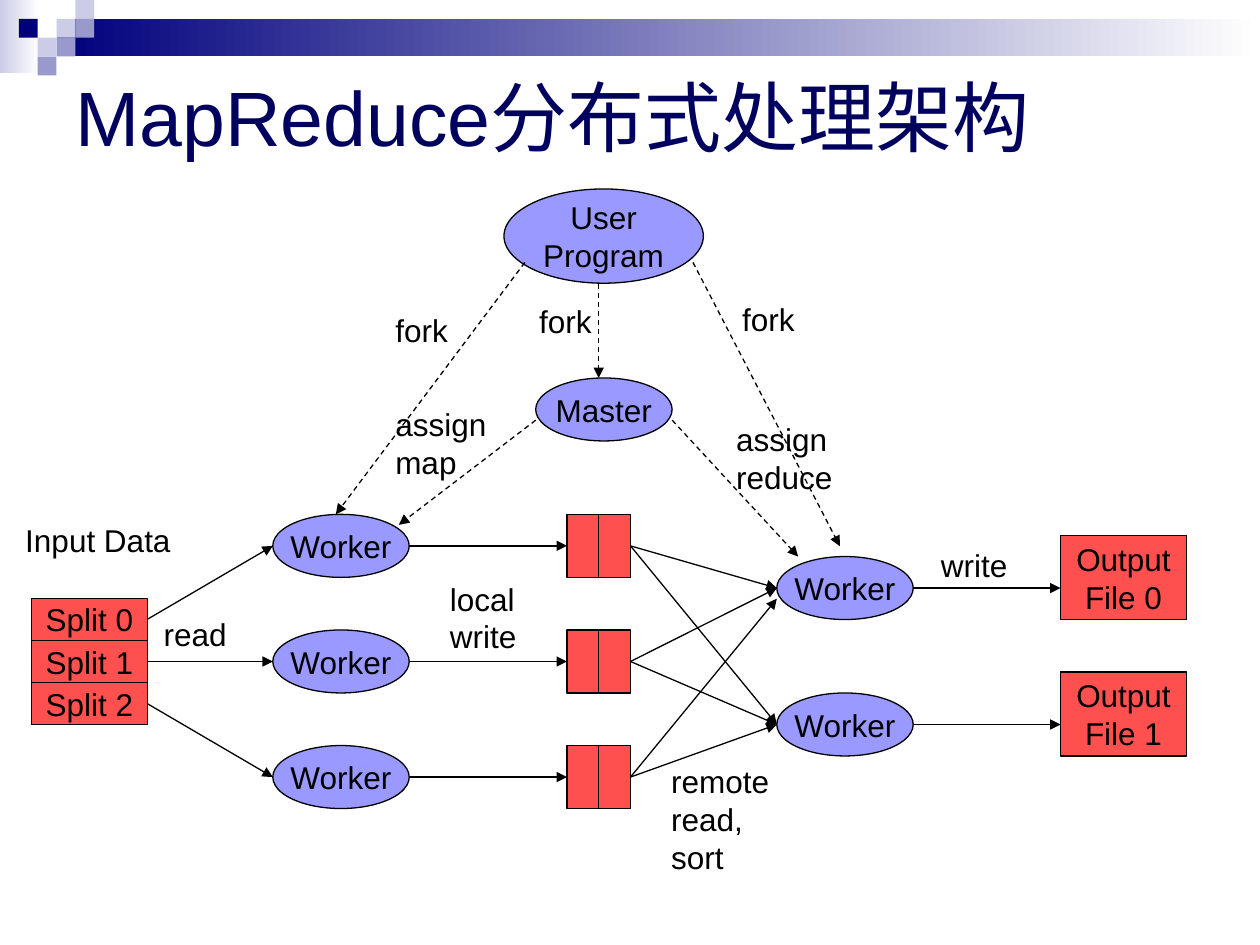
from dataclasses import dataclass
from typing import Optional

from lxml import etree
from pptx import Presentation
from pptx.dml.color import RGBColor
from pptx.enum.dml import MSO_LINE
from pptx.enum.shapes import MSO_CONNECTOR, MSO_SHAPE
from pptx.enum.text import MSO_ANCHOR, MSO_AUTO_SIZE, PP_ALIGN
from pptx.oxml.ns import qn
from pptx.shapes.autoshape import Shape
from pptx.slide import Slide
from pptx.text.text import TextFrame
from pptx.util import Cm, Pt

RECT = MSO_SHAPE.RECTANGLE
OVAL = MSO_SHAPE.OVAL
STRAIGHT = MSO_CONNECTOR.STRAIGHT
DASH = MSO_LINE.DASH
MIDDLE = MSO_ANCHOR.MIDDLE
CENTER = PP_ALIGN.CENTER
LEFT = PP_ALIGN.LEFT
FIT_SHAPE = MSO_AUTO_SIZE.SHAPE_TO_FIT_TEXT

BLACK = RGBColor(0x00, 0x00, 0x00)
WHITE = RGBColor(0xFF, 0xFF, 0xFF)
NAVY = RGBColor(0x00, 0x00, 0x7D)
TITLE_NAVY = RGBColor(0x00, 0x00, 0x5E)
PALE = RGBColor(0xCC, 0xCC, 0xE6)
LAVENDER = RGBColor(0x99, 0x99, 0xCC)
VIOLET = RGBColor(0x99, 0x99, 0xFF)
RED = RGBColor(0xFF, 0x50, 0x50)

FONT = "Arial"
TILE = 0.38
LEFT_SITE, RIGHT_SITE = 1, 3


@dataclass
class Box:
    x: float
    y: float
    w: float
    h: float
    text: str = ""


@dataclass
class End:
    x: int
    y: int
    shape: Optional[Shape] = None
    site: int = 0


@dataclass
class Tile:
    col: int
    row: int
    color: RGBColor


def point(x: float, y: float) -> End:
    return End(Cm(x), Cm(y))


def side(shape: Shape, site: int) -> End:
    x = shape.left + (shape.width if site == RIGHT_SITE else 0)
    joined = shape if shape.auto_shape_type == RECT else None
    return End(x, shape.top + shape.height // 2, joined, site)


def write(tf: TextFrame, text: str, size: int, color: RGBColor, align: PP_ALIGN) -> None:
    tf.text = text
    for p in tf.paragraphs:
        p.alignment = align
        for r in p.runs:
            r.font.name = FONT
            r.font.size = Pt(size)
            r.font.color.rgb = color


def add_shape(s: Slide, kind: MSO_SHAPE, box: Box) -> Shape:
    sp = s.shapes.add_shape(kind, Cm(box.x), Cm(box.y), Cm(box.w), Cm(box.h))
    sp.shadow.inherit = False
    return sp


def add_node(s: Slide, kind: MSO_SHAPE, box: Box, color: RGBColor) -> Shape:
    sp = add_shape(s, kind, box)
    sp.fill.solid()
    sp.fill.fore_color.rgb = color
    sp.line.color.rgb = BLACK
    sp.line.width = Pt(0.75)
    if box.text:
        tf = sp.text_frame
        tf.word_wrap = False
        tf.vertical_anchor = MIDDLE
        write(tf, box.text, 18, BLACK, CENTER)
    return sp


def add_gradient(s: Slide, box: Box, start: RGBColor) -> None:
    sp = add_shape(s, RECT, box)
    sp.line.fill.background()
    sp.fill.gradient()
    sp.fill.gradient_angle = 0
    for stop, color in zip(sp.fill.gradient_stops, (start, WHITE)):
        stop.color.rgb = color


def add_tile(s: Slide, tile: Tile) -> None:
    sp = add_shape(s, RECT, Box(TILE * tile.col, TILE * tile.row, TILE, TILE))
    sp.line.fill.background()
    sp.fill.solid()
    sp.fill.fore_color.rgb = tile.color


def add_label(s: Slide, box: Box) -> None:
    tf = s.shapes.add_textbox(Cm(box.x), Cm(box.y), Cm(box.w), Cm(box.h)).text_frame
    tf.word_wrap = False
    tf.auto_size = FIT_SHAPE
    write(tf, box.text, 18, BLACK, LEFT)


def add_arrow(s: Slide, start: End, end: End, dashed: bool = False) -> None:
    line = s.shapes.add_connector(STRAIGHT, start.x, start.y, end.x, end.y)
    if start.shape is not None:
        line.begin_connect(start.shape, start.site)
    if end.shape is not None:
        line.end_connect(end.shape, end.site)
    line.line.color.rgb = BLACK
    line.line.width = Pt(0.75)
    if dashed:
        line.line.dash_style = DASH
    spPr = line._element.spPr
    etree.SubElement(spPr.find(qn("a:ln")), qn("a:tailEnd"), type="triangle")
    etree.SubElement(spPr, qn("a:effectLst"))


def add_header(s: Slide) -> None:
    add_gradient(s, Box(0, 0, 0.79, 1.47), PALE)
    add_gradient(s, Box(3 * TILE, TILE, 24.26, 2 * TILE), NAVY)
    for tile in (
        Tile(3, 1, PALE), Tile(4, 0, PALE), Tile(4, 1, LAVENDER), Tile(2, 2, PALE),
        Tile(1, 1, NAVY), Tile(3, 2, LAVENDER), Tile(2, 3, LAVENDER),
    ):
        add_tile(s, tile)
    tf = s.shapes.add_textbox(Cm(1.27), Cm(0.43), Cm(22.86), Cm(3.81)).text_frame
    tf.word_wrap = True
    tf.vertical_anchor = MIDDLE
    write(tf, "MapReduce分布式处理架构", 44, TITLE_NAVY, LEFT)


def add_diagram(s: Slide) -> None:
    add_node(s, OVAL, Box(10.16, 3.81, 4.02, 1.9, "User\nProgram"), VIOLET)
    add_node(s, OVAL, Box(10.8, 7.62, 2.75, 1.27, "Master"), VIOLET)

    rows = [10.37 + 2.33 * i for i in range(3)]
    mappers = [add_node(s, OVAL, Box(5.5, y, 2.75, 1.27, "Worker"), VIOLET) for y in rows]
    buffers = [
        [add_node(s, RECT, Box(x, y, 0.64, 1.27), RED) for x in (11.43, 12.07)]
        for y in rows
    ]
    reducers = [
        add_node(s, OVAL, Box(15.66, y, 2.75, 1.27, "Worker"), VIOLET)
        for y in (11.22, 13.97)
    ]
    outputs = [
        add_node(s, RECT, Box(21.38, 10.8 + 2.75 * i, 2.54, 1.69, f"Output\nFile {i}"), RED)
        for i in range(2)
    ]
    splits = [
        add_node(s, RECT, Box(0.64, 12.06 + 0.85 * i, 2.33, 0.85, f"Split {i}"), RED)
        for i in range(3)
    ]

    for start, end in (
        (point(12.07, 5.72), point(12.07, 7.62)),
        (point(10.58, 5.29), point(6.77, 10.37)),
        (point(13.97, 5.29), point(16.93, 11.01)),
        (point(10.8, 8.47), point(8.04, 10.58)),
        (point(13.55, 8.47), point(16.09, 11.22)),
    ):
        add_arrow(s, start, end, dashed=True)

    for split, mapper, (first, last) in zip(splits, mappers, buffers):
        add_arrow(s, side(split, RIGHT_SITE), side(mapper, LEFT_SITE))
        add_arrow(s, side(mapper, RIGHT_SITE), side(first, LEFT_SITE))
        top_end = side(reducers[0], LEFT_SITE)
        if mapper is mappers[-1]:
            top_end = point(15.66, 12.07)
        for end in (top_end, side(reducers[1], LEFT_SITE)):
            add_arrow(s, side(last, RIGHT_SITE), end)
    for reducer, output in zip(reducers, outputs):
        start = side(reducer, RIGHT_SITE)
        add_arrow(s, start, End(output.left, start.y))

    for label in (
        Box(7.72, 6.15, 1.75, 1.02, "fork"),
        Box(10.62, 5.97, 1.75, 1.02, "fork"),
        Box(14.71, 5.92, 1.75, 1.02, "fork"),
        Box(7.72, 8.05, 2.5, 1.78, "assign\nmap"),
        Box(14.59, 8.34, 2.7, 1.78, "assign\nreduce"),
        Box(3.05, 12.27, 1.9, 1.02, "read"),
        Box(8.82, 11.56, 2, 1.78, "local\nwrite"),
        Box(13.28, 15.24, 2.6, 2.54, "remote\nread,\nsort"),
        Box(18.72, 10.88, 2, 1.02, "write"),
        Box(0.26, 10.37, 3.6, 1.02, "Input Data"),
    ):
        add_label(s, label)


def main() -> None:
    prs = Presentation()
    prs.slide_width, prs.slide_height = Cm(25.4), Cm(19.05)
    s = prs.slides.add_slide(prs.slide_layouts[6])
    add_header(s)
    add_diagram(s)
    prs.save("out.pptx")


if __name__ == "__main__":
    main()
